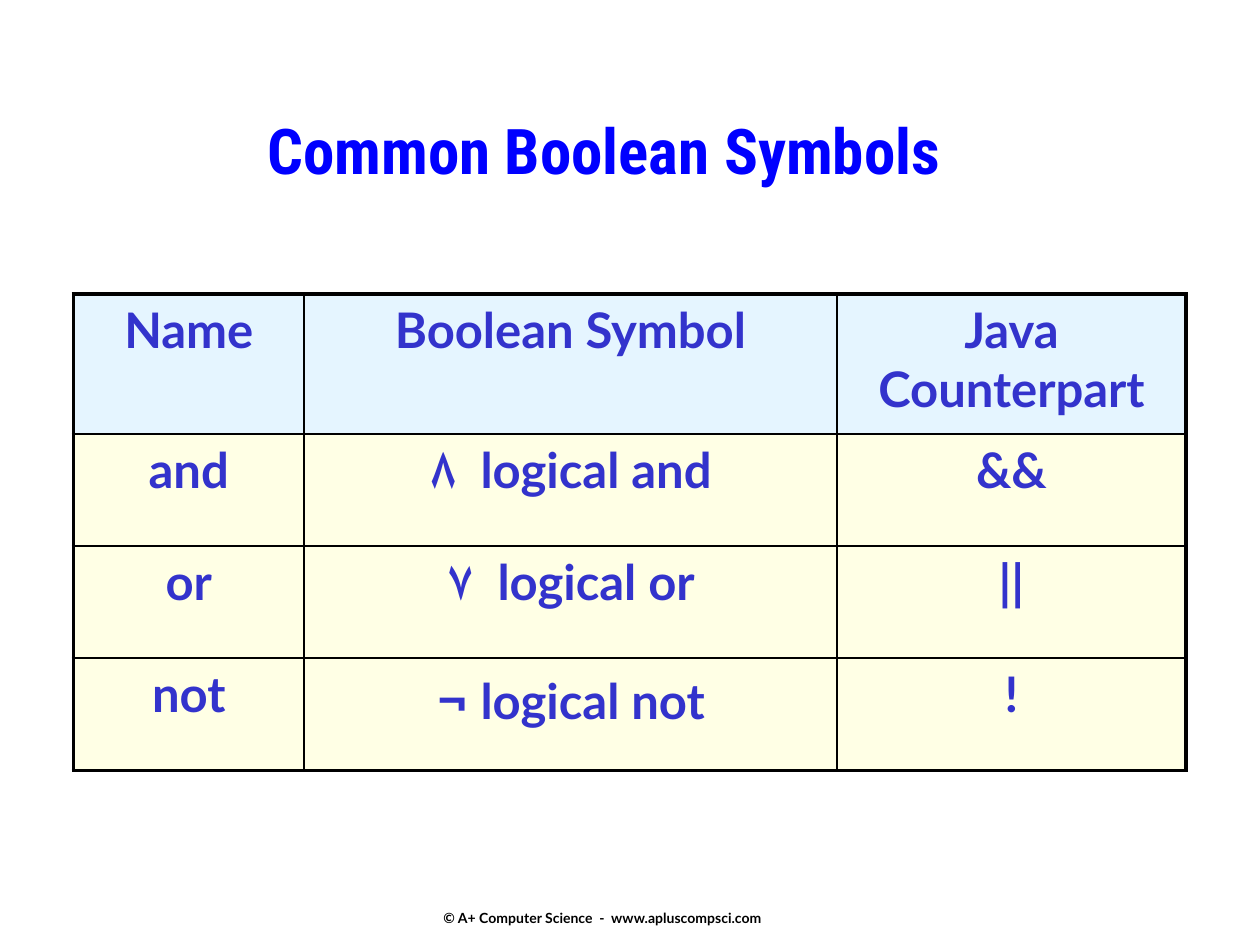
"""Build the slide that pairs common Boolean symbols with their Java counterparts."""
from dataclasses import dataclass

from lxml.etree import SubElement
from pptx import Presentation
from pptx.dml.color import RGBColor
from pptx.enum.text import MSO_ANCHOR as Anchor, MSO_AUTO_SIZE as AutoSize, PP_ALIGN as Align
from pptx.oxml.ns import qn
from pptx.util import Cm, Pt


@dataclass(frozen=True)
class Theme:
    title_font: str = "Roboto Condensed"
    body_font: str = "Lato"
    title_color: str = "0000FF"
    cell_color: str = "3333CC"
    line_color: str = "000000"
    header_fill: str = "CCECFF"
    body_fill: str = "FFFFCC"
    title_size: float = 36
    cell_size: float = 28
    symbol_size: float = 32
    footer_size: float = 8
    outer_line: float = 2.25
    inner_line: float = 1


theme = Theme()


def add_text(para, text, *, size=theme.cell_size, font=theme.body_font,
             color=theme.cell_color, align=Align.CENTER, spacing=0):
    para.alignment = align
    span = para.add_run()
    span.text = text
    span.font.name = font
    span.font.size = Pt(size)
    span.font.bold = True
    span.font.color.rgb = RGBColor.from_string(color)
    if spacing:
        span.font._element.set("spc", str(int(spacing * 100)))


def add_border(cell, side, width):
    line = SubElement(cell._tc.get_or_add_tcPr(), qn(f"a:ln{side}"), w=str(Pt(width)))
    fill = SubElement(line, qn("a:solidFill"))
    SubElement(fill, qn("a:srgbClr"), val=theme.line_color)


deck = Presentation()
deck.slide_width, deck.slide_height = Cm(25.4), Cm(19.05)
page = deck.slides.add_slide(deck.slide_layouts[5])

title = page.shapes.title
title.left, title.top, title.width, title.height = Cm(2.33), Cm(2.12), Cm(19.69), Cm(2.12)
title.text_frame.auto_size = AutoSize.NONE
title.text_frame.vertical_anchor = Anchor.TOP
add_text(title.text_frame.paragraphs[0], "Common Boolean Symbols", size=theme.title_size,
         font=theme.title_font, color=theme.title_color)

rows = [
    ("Name", ("", "Boolean Symbol"), "Java Counterpart"),
    ("and", ("۸", " logical and"), "&&"),
    ("or", ("۷", " logical or"), "||"),
    ("not", ("¬", " logical not"), "!"),
]
widths = [Cm(4.65), Cm(10.74), Cm(7.04)]
heights = [Cm(2.82)] + [Cm(2.26)] * 3
frame = page.shapes.add_table(len(rows), len(widths), Cm(1.48), Cm(5.93),
                              sum(widths), sum(heights))
table = frame.table
table.first_row = table.horz_banding = False
for column, width in zip(table.columns, widths):
    column.width = width
for row, height in zip(table.rows, heights):
    row.height = height

last_row, last_column = len(rows) - 1, len(widths) - 1
for r, (name, (symbol, meaning), java) in enumerate(rows):
    for c, text in enumerate((name, meaning, java)):
        cell = table.cell(r, c)
        outer_sides = {"L": c == 0, "R": c == last_column, "T": r == 0, "B": r == last_row}
        for side, is_outer in outer_sides.items():
            add_border(cell, side, theme.outer_line if is_outer else theme.inner_line)
        cell.fill.solid()
        cell.fill.fore_color.rgb = RGBColor.from_string(
            theme.header_fill if r == 0 else theme.body_fill)
        tint = cell._tc.tcPr.find(qn("a:solidFill")).find(qn("a:srgbClr"))
        SubElement(tint, qn("a:alpha"), val="50000")
        para = cell.text_frame.paragraphs[0]
        if c == 1 and symbol:
            add_text(para, symbol, size=theme.symbol_size, spacing=0 if symbol == "¬" else 5.4)
        add_text(para, text)

footer = page.shapes.add_textbox(Cm(8.69), Cm(18.16), Cm(8.05), Cm(0.7))
footer.text_frame.word_wrap = False
footer.text_frame.vertical_anchor = Anchor.MIDDLE
add_text(footer.text_frame.paragraphs[0], "© A+ Computer Science  -  www.apluscompsci.com",
         size=theme.footer_size, color=theme.line_color, align=Align.LEFT)

deck.save("out.pptx")
